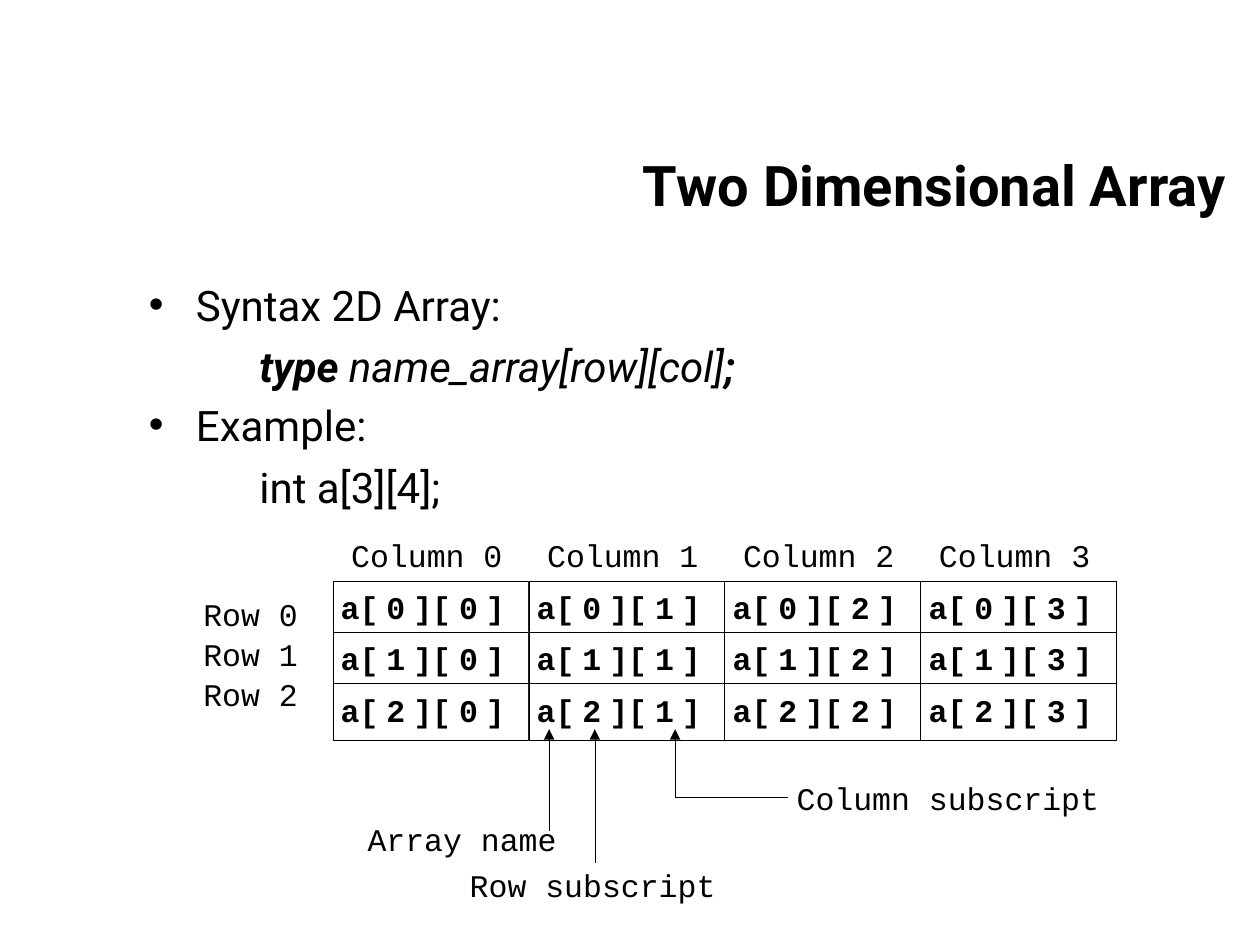
from lxml import etree
from pptx import Presentation, util as u
from pptx.dml.color import RGBColor
from pptx.enum import shapes, text
from pptx.oxml.ns import qn

INK, PAPER = "000000", "FFFFFF"
CODE, SANS = "Courier New", "Roboto"
THIN = 0.26

deck = Presentation()
deck.slide_width, deck.slide_height = u.Cm(25.4), u.Cm(19.05)
slide = deck.slides.add_slide(deck.slide_layouts[6])


def style(run, size, face, bold=False, slant=False):
    """Set the font of one run."""
    font = run.font
    font.size, font.name = u.Pt(size), face
    font.bold, font.italic = bold, slant
    font.color.rgb = RGBColor.from_string(INK)


def box(left, top, width, height, inset=0.0):
    """Add an empty wrapping text box and return its frame."""
    frame = slide.shapes.add_textbox(
        u.Cm(left), u.Cm(top), u.Cm(width), u.Cm(height)).text_frame
    frame.word_wrap = True
    frame.margin_left = frame.margin_right = u.Cm(2 * inset)
    frame.margin_top = frame.margin_bottom = u.Cm(inset)
    return frame


# Title
title = box(9.32, 2.12, 15.66, 3.18, 0.13)
title.vertical_anchor = text.MSO_ANCHOR.MIDDLE
title.text = "Two Dimensional Array"
title.paragraphs[0].alignment = text.PP_ALIGN.RIGHT
style(title.paragraphs[0].runs[0], 32, SANS, True)

# Body: each line has its space before, a bullet flag and (text, bold, slant) runs
lines = [
    (5.6, True, [("Syntax 2D Array:", False, False)]),
    (6, False, [("type ", True, True), ("name_array[row][col]", False, True),
                (";", True, True)]),
    (5, True, [("Example:", False, False)]),
    (6.5, False, [("int a[3][4];", False, False)]),
]
body = box(2.74, 5.5, 22.23, 11.85, 0.13)
for i, (gap, dot, parts) in enumerate(lines):
    para = body.paragraphs[0] if i == 0 else body.add_paragraph()
    para.space_before = u.Pt(gap)
    for words, bold, slant in parts:
        run = para.add_run()
        run.text = words
        style(run, 24, SANS, bold, slant)
    props = para._p.get_or_add_pPr()
    props.set("marL", str(u.Cm(0.95 if dot else 2.23)))
    props.set("indent", str(u.Cm(-0.95 if dot else 0)))
    if dot:
        etree.SubElement(props, qn("a:buFont")).set("typeface", "Arial")
        etree.SubElement(props, qn("a:buChar")).set("char", "•")
    else:
        etree.SubElement(props, qn("a:buNone"))

# Array grid: top and height of each row
wide = 3.95
rows = [(11.71, 1.03), (12.74, 1.03), (13.78, 1.15)]
for c in range(4):
    left = 6.71 + wide * c
    for r, (top, high) in enumerate(rows):
        cell = slide.shapes.add_shape(shapes.MSO_SHAPE.RECTANGLE, u.Cm(left),
                                      u.Cm(top), u.Cm(wide), u.Cm(high))
        cell.shadow.inherit = False
        cell.fill.solid()
        cell.fill.fore_color.rgb = RGBColor.from_string(PAPER)
        cell.line.color.rgb = RGBColor.from_string(INK)
        cell.line.width = u.Pt(THIN)
        para = box(left + 0.16, top + 0.15, 3.63, high - 0.23).paragraphs[0]
        para.space_before = u.Pt(3)
        for piece in ("a[", " ", str(r), " ", "][", " ", str(c), " ", "]"):
            run = para.add_run()
            run.text = piece
            style(run, 7.5 if piece == " " else 18, CODE, True)

# Labels: text, left, top, width
labels = [(f"Row {r}", 4.1, 11.99 + 0.81 * r, 2.13) for r in range(3)]
labels += [(f"Column {c}", 7.08 + wide * c, 10.8, 3.33) for c in range(4)]
labels += [("Row subscript", 9.47, 17.45, 6.65),
           ("Array name", 7.41, 16.54, 4.11),
           ("Column subscript", 16.06, 15.7, 7.65)]
for words, left, top, width in labels:
    frame = box(left, top, width, 0.53)
    frame.text = words
    style(frame.paragraphs[0].runs[0], 18, CODE)

# Pointers: start, end, arrowhead at the end
tip, bend = 14.7, 16.08
pointers = [(11.07, 16.76, 11.07, tip, True), (11.99, 17.4, 11.99, tip, True),
            (13.61, bend, 13.61, tip, True), (15.89, bend, 13.61, bend, False)]
for x1, y1, x2, y2, head in pointers:
    line = slide.shapes.add_connector(shapes.MSO_CONNECTOR.STRAIGHT,
                                      u.Cm(x1), u.Cm(y1), u.Cm(x2), u.Cm(y2))
    line.line.width = u.Pt(THIN)
    line.line.color.rgb = RGBColor.from_string(INK)
    if head:
        etree.SubElement(line.line._get_or_add_ln(), qn("a:tailEnd")).set("type", "triangle")
    etree.SubElement(line._element.spPr, qn("a:effectLst"))

deck.save("out.pptx")
